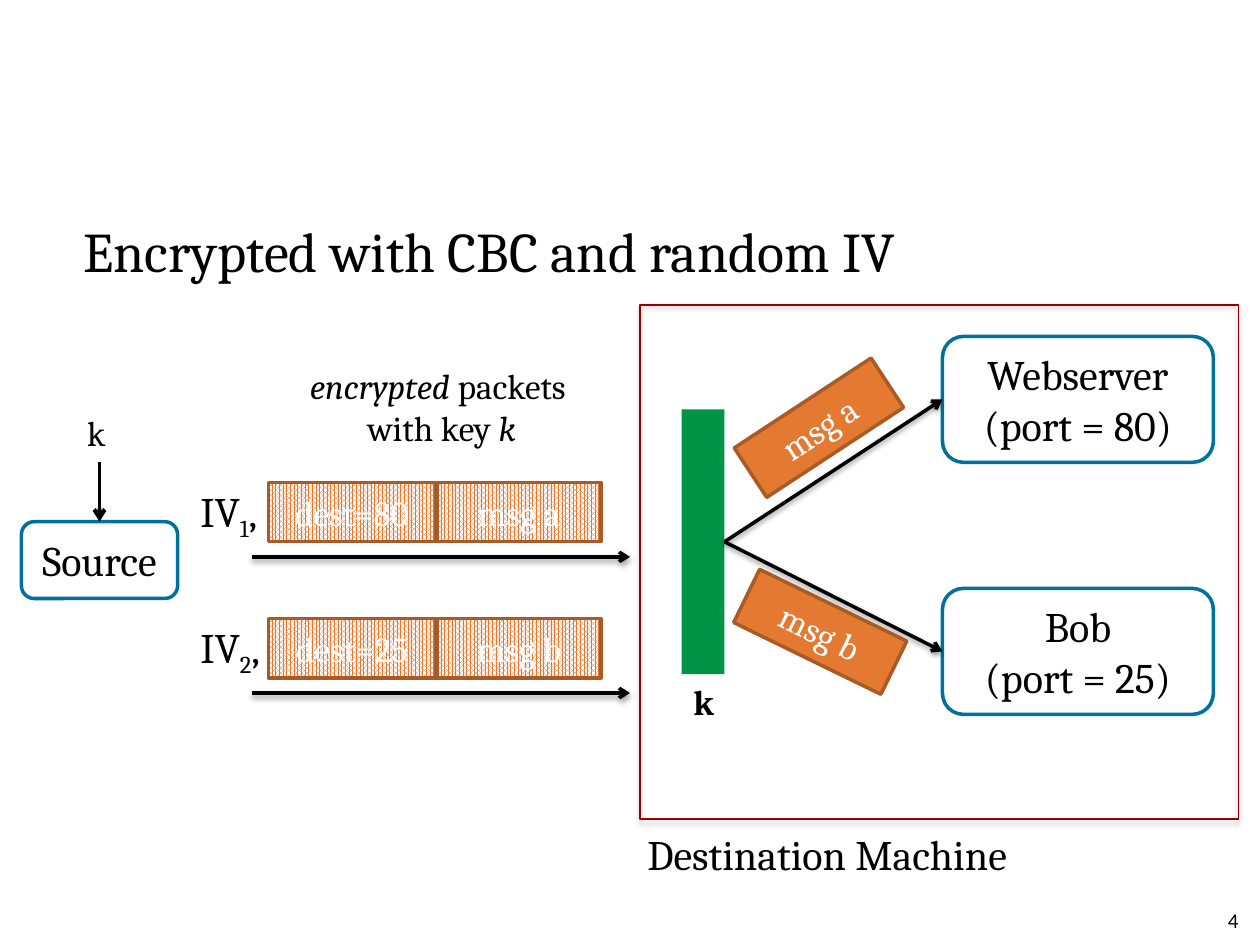
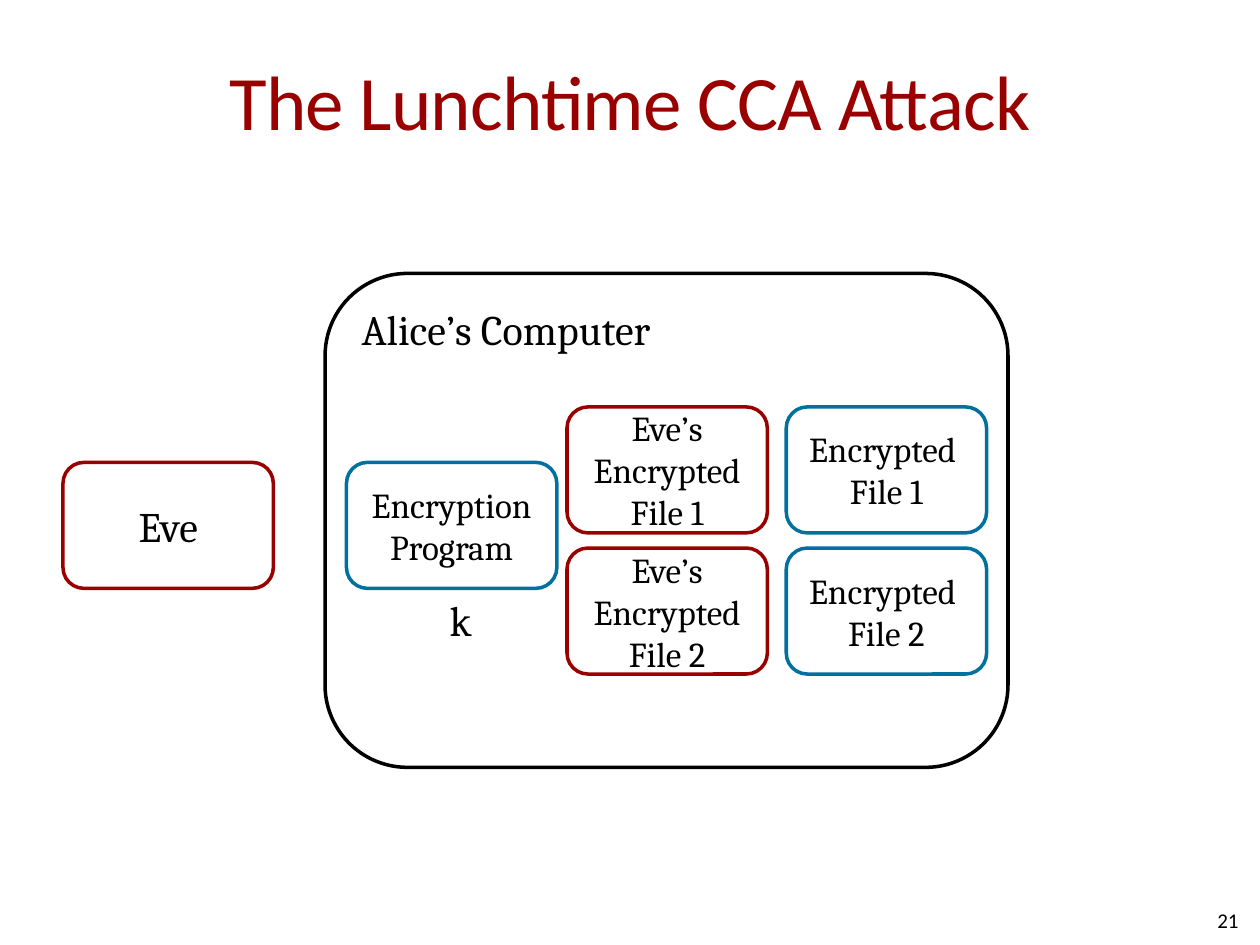
"""Build two slides on chosen-ciphertext attacks against encrypted packets and files."""
from lxml.etree import SubElement
from pptx import Presentation
from pptx.dml.color import RGBColor
from pptx.enum.dml import MSO_PATTERN
from pptx.enum.shapes import MSO_CONNECTOR, MSO_SHAPE
from pptx.enum.text import MSO_ANCHOR, MSO_AUTO_SIZE, PP_ALIGN
from pptx.oxml.ns import qn
from pptx.util import Emu, Pt

PX = 9144
COLOURS = {
    "black": "000000", "white": "FFFFFF", "title": "990000", "frame": "960000",
    "blue": "00709E", "orange": "E47932", "brown": "A95A25", "green": "009446",
}
BODY_FONT, HEAD_FONT = "Cambria", "Calibri"
SHADOW_BLUR = 40000
ZERO, INSET = (0, 0, 0, 0), (10, 5, 10, 5)
TITLE_ONLY = 5
TOP, LEFT, RIGHT = 0, 1, 3


def px(*lengths):
    """Turn px lengths into EMU."""
    return [Emu(round(length * PX)) for length in lengths]


def colour(name):
    """Return a named colour as RGB."""
    return RGBColor.from_string(COLOURS[name])


def apply(target, values):
    """Set every attribute in a dict of format values."""
    for name, value in values.items():
        setattr(target, name, value)


def write(holder, spans, size=24, ink="black", font=BODY_FONT, align=PP_ALIGN.CENTER,
          anchor=MSO_ANCHOR.MIDDLE, margins=ZERO, wrap=True):
    """Write one paragraph of (text, font values, run attributes) spans."""
    frame = holder.text_frame
    left, top, right, bottom = px(*margins)
    apply(frame, {"word_wrap": wrap, "vertical_anchor": anchor, "margin_left": left,
                  "margin_top": top, "margin_right": right, "margin_bottom": bottom})
    para = frame.paragraphs[0]
    apply(para, {"alignment": align, "space_before": Pt(0)})
    if isinstance(spans, str):
        spans = [(spans, {}, {})]
    for text, values, attributes in spans:
        for number, line in enumerate(text.split("\n")):
            if number:
                para.add_line_break()
            span = para.add_run()
            span.text = line
            apply(span.font, {"name": font, "size": Pt(size), **values})
            span.font.color.rgb = colour(ink)
            for name, value in attributes.items():
                span.font._element.set(name, value)


def cast_shadow(effects, distance, opacity):
    """Add a soft downward shadow to an effect list."""
    shadow = SubElement(effects, qn("a:outerShdw"), blurRad=str(SHADOW_BLUR),
                        dist=str(distance), dir="5400000", rotWithShape="0")
    ink = SubElement(shadow, qn("a:srgbClr"), val=COLOURS["black"])
    SubElement(ink, qn("a:alpha"), val=str(opacity * 1000))


def add_box(page, frame, fill="white", line="blue", width=2, kind=MSO_SHAPE.ROUNDED_RECTANGLE):
    """Add a preset shape with plain fill and outline."""
    box = page.shapes.add_shape(kind, *px(*frame))
    box.shadow.inherit = False
    if fill:
        box.fill.solid()
        box.fill.fore_color.rgb = colour(fill)
    else:
        box.fill.background()
    if line:
        box.line.color.rgb = colour(line)
        box.line.width = Pt(width)
    else:
        box.line.fill.background()
    return box


def add_node(page, frame, text, line="blue", **style):
    """Add a rounded box with text."""
    node = add_box(page, frame, line=line)
    write(node, text, **style)
    return node


def add_block(page, frame, text, rotation=0, encrypted=False):
    """Add one packet block, hatched when it is encrypted."""
    block = add_box(page, frame, "orange", "brown", kind=MSO_SHAPE.RECTANGLE)
    block.rotation = rotation
    if encrypted:
        block.fill.patterned()
        block.fill.pattern = MSO_PATTERN.PERCENT_80
        block.fill.fore_color.rgb = colour("orange")
        block.fill.back_color.rgb = colour("white")
    write(block, text, 20, "white")


def add_label(page, frame, spans, margins=INSET, **style):
    """Add an unwrapped text box that fits its text."""
    label = page.shapes.add_textbox(*px(*frame))
    write(label, spans, margins=margins, anchor=MSO_ANCHOR.TOP, wrap=False, **style)
    label.text_frame.auto_size = MSO_AUTO_SIZE.SHAPE_TO_FIT_TEXT


def add_arrow(page, start, end, source=None, target=None, width=2, shadow=True):
    """Add an arrow, joined to (shape, side) pairs where given."""
    arrow = page.shapes.add_connector(MSO_CONNECTOR.STRAIGHT, *px(*start, *end))
    if source:
        arrow.begin_connect(*source)
    if target:
        arrow.end_connect(*target)
    arrow.line.color.rgb = colour("black")
    arrow.line.width = Pt(width)
    SubElement(arrow.line._get_or_add_ln(), qn("a:tailEnd"), type="arrow")
    effects = SubElement(arrow.element.spPr, qn("a:effectLst"))
    if shadow:
        cast_shadow(effects, 20000, 38)


def add_packet(page, top, number, destination, message):
    """Add an encrypted packet with its IV and the arrow below."""
    add_label(page, (159, top + 2, 51, 40),
              [("IV", {}, {}), (number, {}, {"baseline": "-25000"}), (",", {}, {})],
              margins=ZERO, align=PP_ALIGN.LEFT)
    add_block(page, (213, top, 133, 47), destination, encrypted=True)
    add_block(page, (347, top, 130, 47), message, encrypted=True)
    add_arrow(page, (200, top + 59), (500, top + 59))


def add_page(deck, frame, title, number, **style):
    """Add a slide with its title and slide number."""
    page = deck.slides.add_slide(deck.slide_layouts[TITLE_ONLY])
    heading = page.shapes.title
    apply(heading, dict(zip(("left", "top", "width", "height"), px(*frame))))
    write(heading, title, **style)
    footer = page.shapes.add_textbox(*px(750, 710, 233, 40))
    write(footer, number, 12, font=HEAD_FONT, align=PP_ALIGN.RIGHT)
    return page


def build_packets(deck):
    """Show packets encrypted with CBC on their way to two ports."""
    page = add_page(deck, (50, 164, 900, 69), "Encrypted with CBC and random IV", "4",
                    size=32, align=PP_ALIGN.LEFT, margins=(16, 5, 10, 5))
    machine = add_box(page, (508, 242, 475, 408), None, "frame", 0.75, MSO_SHAPE.RECTANGLE)
    cast_shadow(machine.element.spPr.find(qn("a:effectLst")), 23000, 35)
    add_label(page, (504, 653, 316, 50), "Destination Machine", align=PP_ALIGN.LEFT)

    source = add_node(page, (17, 414, 124, 61), "Source")
    add_label(page, (58, 322, 37, 44), "k", size=20)
    add_arrow(page, (79, 367), (79, 414), target=(source, TOP), width=2.25, shadow=False)

    italic = {"italic": True}
    add_label(page, (233, 284, 235, 77), [("encrypted", italic, {}),
              (" packets \nwith key ", {}, {}), ("k", italic, {})], size=20)
    add_packet(page, 383, "1", "dest=80", "msg a")
    add_packet(page, 491, "2", "dest=25", "msg b")

    key_bar = add_box(page, (541, 325, 34, 210), "green", None, kind=MSO_SHAPE.RECTANGLE)
    add_label(page, (540, 535, 37, 44), [("k", {"bold": True}, {})], size=20)
    for top, service, block, message, rotation in (
            (267, "Webserver\n(port = 80)", (585, 316, 130, 47), "msg a", 326.7),
            (467, "Bob\n(port = 25)", (586, 478, 130, 47), "msg b", 26)):
        server = add_node(page, (748, top, 215, 100), service)
        add_arrow(page, (575, 430), (748, top + 50), (key_bar, RIGHT), (server, LEFT))
        add_block(page, block, message, rotation)


def build_lunchtime(deck):
    """Show Eve beside the files on Alice's computer."""
    page = add_page(deck, (50, 17, 900, 125), [("The Lunchtime CCA Attack", {}, {"spc": "-50"})],
                    "21", size=44, ink="title", font=HEAD_FONT, margins=(0, 5, 0, 5))
    add_node(page, (258, 217, 542, 392), "Alice’s Computer", "black",
             align=PP_ALIGN.LEFT, anchor=MSO_ANCHOR.TOP, margins=INSET)
    add_node(page, (50, 367, 167, 100), "Eve", "title")
    add_node(page, (275, 367, 167, 100), "Encryption Program", size=20, margins=INSET)
    add_label(page, (347, 467, 38, 50), "k", align=PP_ALIGN.LEFT)
    for left, owner, line in ((450, "Eve’s Encrypted ", "title"), (624, "Encrypted \n", "blue")):
        for row in range(2):
            add_node(page, (left, 323 + 112 * row, 159, 100), f"{owner}File {row + 1}", line,
                     size=20, margins=INSET)


def main():
    """Build and save the deck."""
    deck = Presentation()
    deck.slide_width, deck.slide_height = px(1000, 750)
    build_packets(deck)
    build_lunchtime(deck)
    deck.save("out.pptx")


if __name__ == "__main__":
    main()
